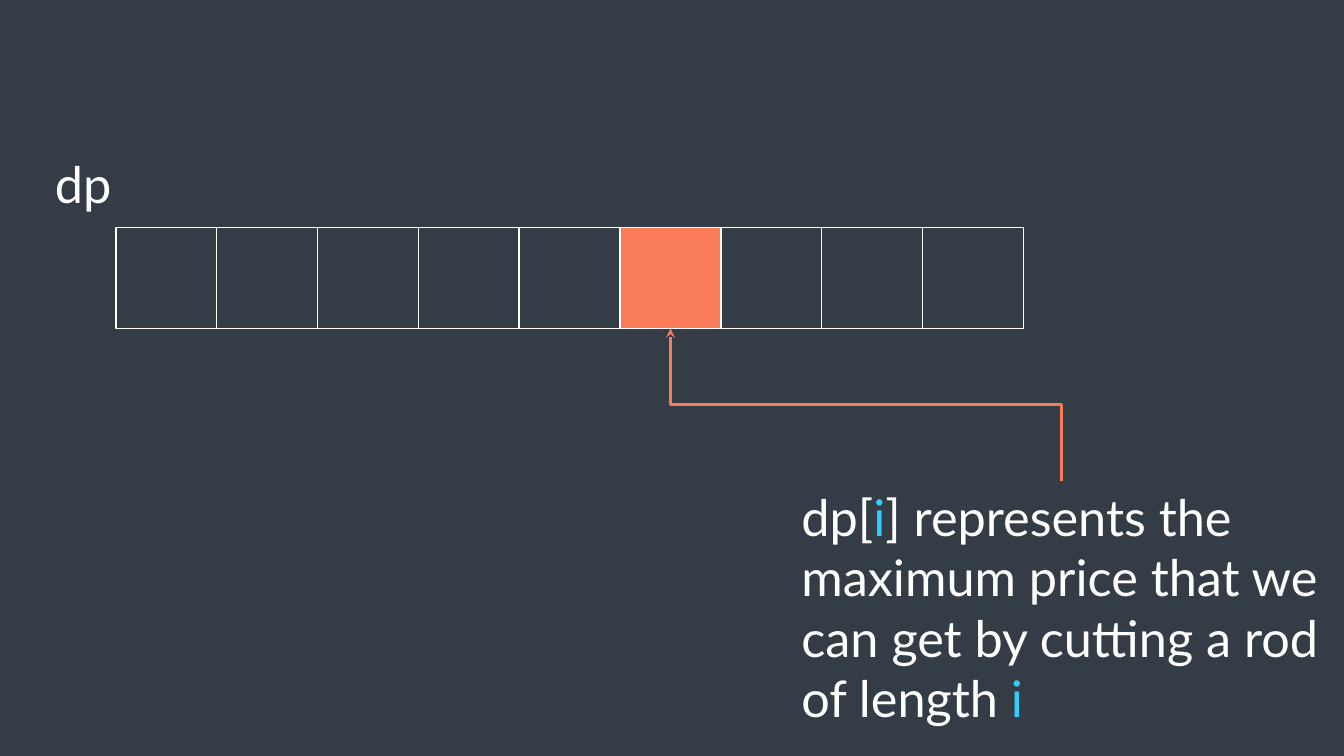
from dataclasses import dataclass

from lxml import etree
from pptx import Presentation
from pptx.dml.color import RGBColor
from pptx.enum.shapes import MSO_CONNECTOR, MSO_SHAPE
from pptx.enum.text import MSO_AUTO_SIZE, PP_ALIGN
from pptx.oxml.ns import qn
from pptx.slide import Slide
from pptx.util import Inches, Pt

RECTANGLE = MSO_SHAPE.RECTANGLE
ELBOW = MSO_CONNECTOR.ELBOW
FIT_SHAPE = MSO_AUTO_SIZE.SHAPE_TO_FIT_TEXT
LEFT, CENTER = PP_ALIGN.LEFT, PP_ALIGN.CENTER

SLATE = RGBColor(0x34, 0x3D, 0x46)
WHITE = RGBColor(0xFF, 0xFF, 0xFF)
CORAL = RGBColor(0xF9, 0x7B, 0x57)
CYAN = RGBColor(0x33, 0xCC, 0xFF)

FONT_NAME = "Lato"
FONT_SIZE = Pt(36)

CELL_COUNT = 9
CELL_SIZE = 1.0
ARRAY_LEFT, ARRAY_TOP = 1.15, 2.26
HIGHLIGHTED_CELL = 5
ARROW_START = (10.53, 4.77)


@dataclass(frozen=True)
class Span:
    text: str
    color: RGBColor = WHITE


@dataclass(frozen=True)
class Label:
    left: float
    top: float
    width: float
    height: float
    alignment: PP_ALIGN
    spans: tuple[Span, ...]


LABELS = (
    Label(0, 1.47, 1.65, 0.71, CENTER, (Span("dp"),)),
    Label(7.85, 4.77, 5.37, 2.52, LEFT, (
        Span("dp["),
        Span("i", CYAN),
        Span("] represents the maximum price that we can get by cutting a rod of length "),
        Span("i", CYAN),
    )),
)


def add_array(page: Slide) -> None:
    for index in range(CELL_COUNT):
        cell = page.shapes.add_shape(
            RECTANGLE, Inches(ARRAY_LEFT + index * CELL_SIZE), Inches(ARRAY_TOP),
            Inches(CELL_SIZE), Inches(CELL_SIZE))
        cell.shadow.inherit = False
        cell.fill.solid()
        cell.fill.fore_color.rgb = CORAL if index == HIGHLIGHTED_CELL else SLATE
        cell.line.color.rgb = WHITE
        cell.line.width = Pt(1)


def add_label(page: Slide, label: Label) -> None:
    box = page.shapes.add_textbox(
        Inches(label.left), Inches(label.top), Inches(label.width), Inches(label.height))
    frame = box.text_frame
    frame.word_wrap = True
    frame.auto_size = FIT_SHAPE
    para = frame.paragraphs[0]
    para.alignment = label.alignment
    for span in label.spans:
        run = para.add_run()
        run.text = span.text
        run.font.name = FONT_NAME
        run.font.size = FONT_SIZE
        run.font.color.rgb = span.color


def add_upward_elbow(page: Slide, start: tuple[float, float], end: tuple[float, float]) -> None:
    """Draw an elbow arrow that leaves start and enters end vertically.

    The elbow is laid out sideways around its centre, then turned by 270 degrees.
    """
    center_x, center_y = (start[0] + end[0]) / 2, (start[1] + end[1]) / 2
    half_run, half_rise = (start[0] - end[0]) / 2, (start[1] - end[1]) / 2
    arrow = page.shapes.add_connector(
        ELBOW,
        Inches(center_x - half_rise), Inches(center_y + half_run),
        Inches(center_x + half_rise), Inches(center_y - half_run))
    arrow.line.color.rgb = CORAL
    arrow.line.width = Pt(2.25)
    properties = arrow.element.spPr
    properties.find(qn("a:xfrm")).set("rot", str(270 * 60000))
    etree.SubElement(properties.find(qn("a:ln")), qn("a:tailEnd"), type="stealth")
    etree.SubElement(properties, qn("a:effectLst"))


def main() -> None:
    deck = Presentation()
    deck.slide_width, deck.slide_height = Inches(13.33), Inches(7.5)
    page = deck.slides.add_slide(deck.slide_layouts.get_by_name("Blank"))
    page.background.fill.solid()
    page.background.fill.fore_color.rgb = SLATE

    add_array(page)
    for label in LABELS:
        add_label(page, label)
    arrow_end = (ARRAY_LEFT + (HIGHLIGHTED_CELL + 0.5) * CELL_SIZE, ARRAY_TOP + CELL_SIZE)
    add_upward_elbow(page, ARROW_START, arrow_end)
    deck.save("out.pptx")


if __name__ == "__main__":
    main()
